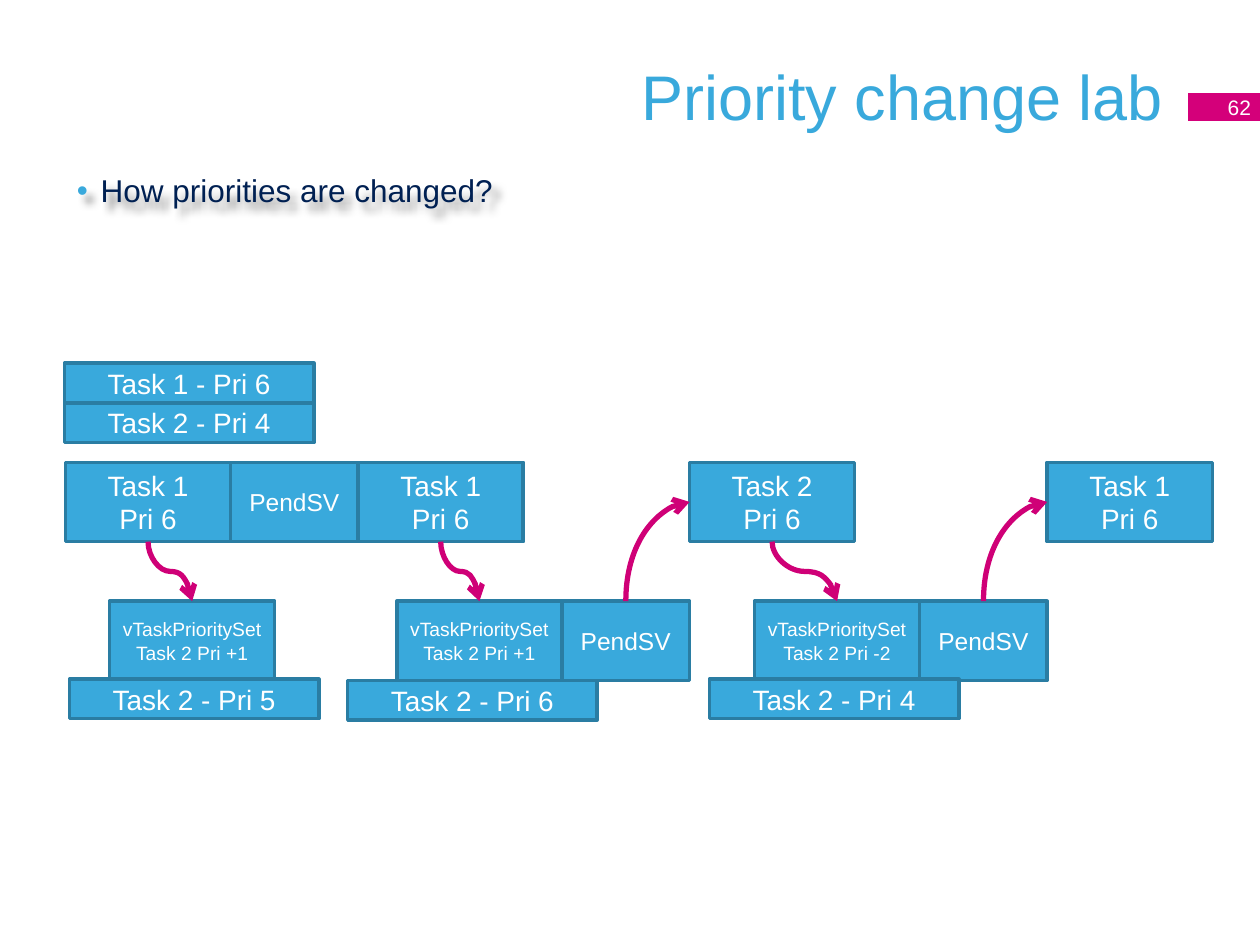
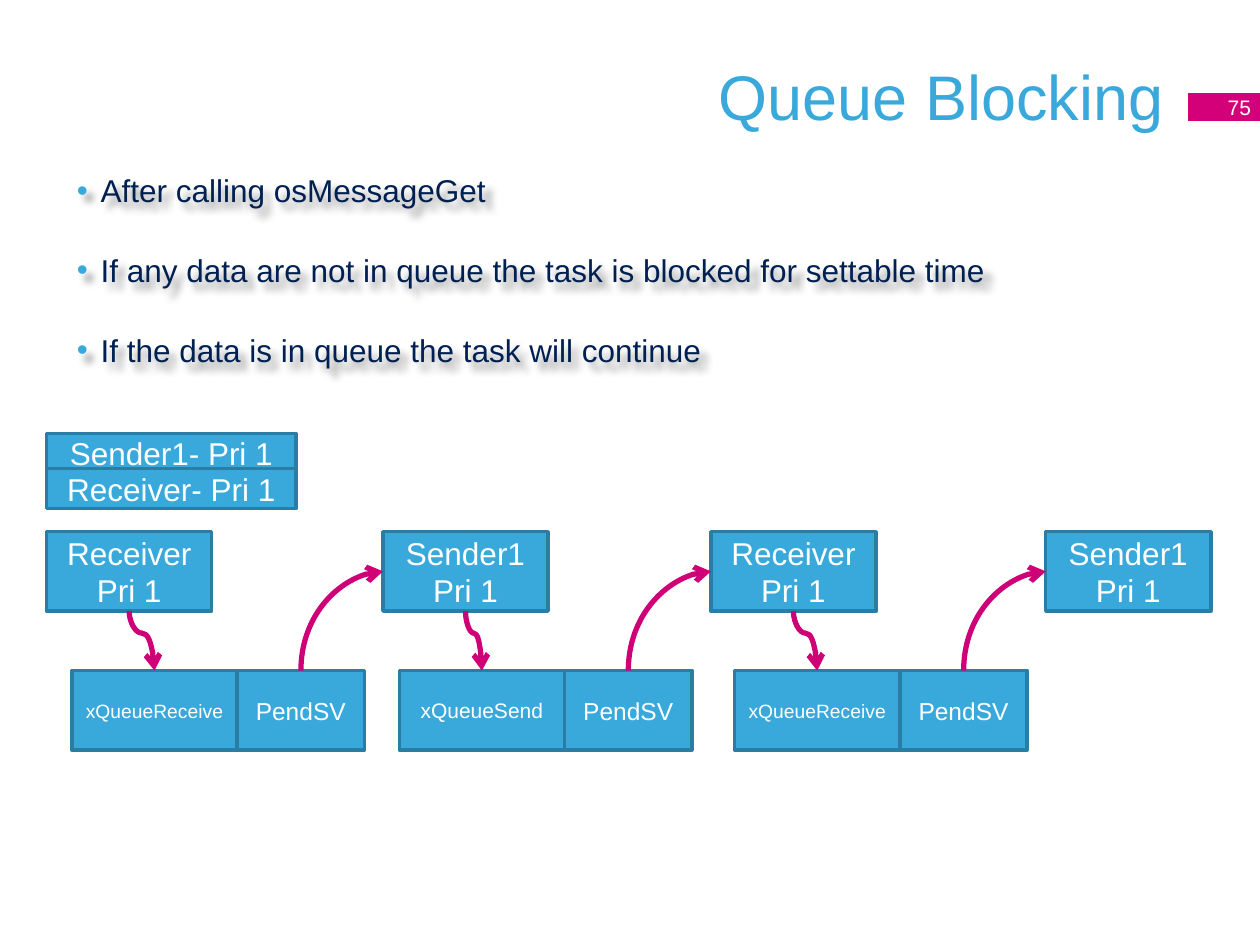
from dataclasses import dataclass

from lxml import etree
from pptx import Presentation
from pptx.dml.color import RGBColor
from pptx.enum.shapes import MSO_CONNECTOR, MSO_SHAPE
from pptx.enum.text import MSO_ANCHOR, PP_ALIGN
from pptx.oxml.ns import qn
from pptx.util import Cm, Pt

RECT = MSO_SHAPE.RECTANGLE
CURVE = MSO_CONNECTOR.CURVE
LEFT, CENTER, RIGHT = PP_ALIGN.LEFT, PP_ALIGN.CENTER, PP_ALIGN.RIGHT
TOP, MIDDLE = MSO_ANCHOR.TOP, MSO_ANCHOR.MIDDLE
SIDE_TOP, SIDE_LEFT, SIDE_BOTTOM = 0, 1, 2

FONT = "Arial"
BLUE, BLUE_EDGE, NAVY = "39A9DC", "2A7DA3", "002052"
PINK, ARROW_PINK, WHITE = "D4007A", "CF0077", "FFFFFF"

# Lengths in centimetres
TASK_W, PEND_W, BOX_H = 3.33, 2.57, 1.6
BAR_W, BAR_H = 5.03, 0.8
CALL_DROP = 2.8


@dataclass
class Bar:
    text: str
    left: float
    top: float


@dataclass
class Step:
    """A running task, the call it makes and whether PendSV then switches task."""
    task: str
    left: float
    call: str = ""
    call_left: float = 0
    call_size: int = 11
    switches: bool = True


@dataclass
class Timeline:
    title: str
    number: str
    bullets: list[str]
    top: float
    text_size: int
    bend: float
    steps: list[Step]
    bars: list[Bar]


PRIORITY_LAB = Timeline(
    "Priority change lab", "62", ["How priorities are changed?"], 9.32, 16, 0.5,
    [
        Step("Task 1\nPri 6", 1.32, "vTaskPrioritySet\nTask 2 Pri +1", 2.21, switches=False),
        Step("Task 1\nPri 6", 7.22, "vTaskPrioritySet\nTask 2 Pri +1", 8.0),
        Step("Task 2\nPri 6", 13.9, "vTaskPrioritySet\nTask 2 Pri -2", 15.21),
        Step("Task 1\nPri 6", 21.11),
    ],
    [
        Bar("Task 1 - Pri 6", 1.3, 7.32),
        Bar("Task 2 - Pri 4", 1.3, 8.12),
        Bar("Task 2 - Pri 5", 1.4, 13.69),
        Bar("Task 2 - Pri 6", 7.01, 13.72),
        Bar("Task 2 - Pri 4", 14.3, 13.69),
    ],
)
QUEUE_BLOCKING = Timeline(
    "Queue Blocking", "75",
    [
        "After calling osMessageGet",
        "If any data are not in queue the task is blocked for settable time",
        "If the data is in queue the task will continue",
    ],
    10.72, 18, 0.37,
    [
        Step("Receiver Pri 1", 0.94, "xQueueReceive", 1.45),
        Step("Sender1 Pri 1", 7.72, "xQueueSend", 8.05, 12),
        Step("Receiver Pri 1", 14.33, "xQueueReceive", 14.81),
        Step("Sender1 Pri 1", 21.08),
    ],
    [Bar("Sender1- Pri 1", 0.94, 8.74), Bar("Receiver- Pri 1", 0.94, 9.45)],
)


def rgb(color: str) -> RGBColor:
    return RGBColor.from_string(color)


def add_xml(parent, tag: str, **attrs: str):
    child = etree.SubElement(parent, qn(tag))
    for name, value in attrs.items():
        child.set(name, value)
    return child


def write(sp, text: str, size: int, color: str, align, anchor=MIDDLE) -> None:
    tf = sp.text_frame
    tf.word_wrap = True
    tf.vertical_anchor = anchor
    for i, line in enumerate(text.split("\n")):
        p = tf.paragraphs[0] if i == 0 else tf.add_paragraph()
        p.alignment = align
        r = p.add_run()
        r.text = line
        for name, value in {"name": FONT, "size": Pt(size)}.items():
            setattr(r.font, name, value)
        r.font.color.rgb = rgb(color)


def add_rect(s, left: float, top: float, width: float, height: float, fill: str):
    sp = s.shapes.add_shape(RECT, Cm(left), Cm(top), Cm(width), Cm(height))
    sp.shadow.inherit = False
    sp.fill.solid()
    sp.fill.fore_color.rgb = rgb(fill)
    sp.line.fill.background()
    return sp


def add_box(s, text: str, left: float, top: float, width: float, size: int,
            height: float = BOX_H):
    sp = add_rect(s, left, top, width, height, BLUE)
    sp.line.color.rgb = rgb(BLUE_EDGE)
    sp.line.width = Pt(2)
    sp.text_frame.margin_left = sp.text_frame.margin_right = Cm(0.2)
    write(sp, text, size, WHITE, CENTER)
    return sp


def add_arrow(s, start, start_side: int, end, end_side: int, bend: float | None = None) -> None:
    """Curve from start to end: an S with the given bend, or a quarter arc without one."""
    c = s.shapes.add_connector(CURVE, 0, 0, 0, 0)
    c.begin_connect(start, start_side)
    c.end_connect(end, end_side)
    x1, y1, x2, y2 = c.begin_x, c.begin_y, c.end_x, c.end_y
    # The preset curves run sideways, so the frame is turned about its centre.
    run, rise = abs(y2 - y1), abs(x2 - x1)
    frame = {"left": (x1 + x2 - run) // 2, "top": (y1 + y2 - rise) // 2,
             "width": run, "height": rise}
    for name, value in frame.items():
        setattr(c, name, value)

    props = c.element.spPr
    xfrm, geom = props.find(qn("a:xfrm")), props.find(qn("a:prstGeom"))
    xfrm.set("flipH", "1")
    if bend is None:
        xfrm.set("rot", "5400000")
        xfrm.set("flipV", "1")
        geom.set("prst", "curvedConnector2")
    else:
        xfrm.set("rot", "16200000")
        add_xml(geom.find(qn("a:avLst")), "a:gd", name="adj1", fmla=f"val {round(bend * 100000)}")
    c.line.color.rgb = rgb(ARROW_PINK)
    c.line.width = Pt(3)
    add_xml(props.find(qn("a:ln")), "a:tailEnd", type="arrow")
    add_xml(props, "a:effectLst")


def add_bullets(s, bullets: list[str]) -> None:
    sp = s.shapes.add_textbox(Cm(1.3), Cm(3.33), Cm(22.86), Cm(1.02 + 1.63 * (len(bullets) - 1)))
    write(sp, "\n".join(bullets), 18, NAVY, LEFT, TOP)
    for p in sp.text_frame.paragraphs:
        p.space_before, p.space_after = Pt(18), Pt(6)
        ppr = p._p.get_or_add_pPr()
        ppr.set("marL", str(Cm(0.48)))
        ppr.set("indent", str(-Cm(0.48)))
        add_xml(add_xml(ppr, "a:buClr"), "a:srgbClr", val=BLUE)
        add_xml(ppr, "a:buFont", typeface=FONT)
        add_xml(ppr, "a:buChar", char="•")
    effects = add_xml(sp.element.spPr, "a:effectLst")
    shadow = add_xml(effects, "a:outerShdw", blurRad=str(Cm(0.14)), dist=str(Cm(0.2)),
                     dir="2700000", algn="tl", rotWithShape="0")
    add_xml(add_xml(shadow, "a:srgbClr", val="000000"), "a:alpha", val="40000")


def add_heading(s, title: str, number: str) -> None:
    sp = s.shapes.add_textbox(Cm(1.27), Cm(0.33), Cm(22.43), Cm(3.18))
    write(sp, title, 36, BLUE, RIGHT)
    tag = add_rect(s, 23.95, 1.88, 1.52, 0.56, PINK)
    write(tag, number, 12, WHITE, RIGHT)


def add_steps(s, timeline: Timeline) -> None:
    call_top = timeline.top + CALL_DROP
    pend = None
    for step in timeline.steps:
        task = add_box(s, step.task, step.left, timeline.top, TASK_W, timeline.text_size)
        if pend:
            add_arrow(s, pend, SIDE_TOP, task, SIDE_LEFT)
            pend = None
        if not step.call:
            continue
        call = add_box(s, step.call, step.call_left, call_top, TASK_W, step.call_size)
        add_arrow(s, task, SIDE_BOTTOM, call, SIDE_TOP, timeline.bend)
        if step.switches:
            pend = add_box(s, "PendSV", step.call_left + TASK_W, call_top, PEND_W, 14)
        else:
            add_box(s, "PendSV", step.left + TASK_W, timeline.top, PEND_W, 14)


def add_timeline(prs, timeline: Timeline) -> None:
    s = prs.slides.add_slide(prs.slide_layouts[6])
    add_heading(s, timeline.title, timeline.number)
    add_bullets(s, timeline.bullets)
    add_steps(s, timeline)
    for bar in timeline.bars:
        add_box(s, bar.text, bar.left, bar.top, BAR_W, timeline.text_size, BAR_H)


def main() -> None:
    prs = Presentation()
    prs.slide_width, prs.slide_height = Cm(25.4), Cm(19.05)
    for timeline in (PRIORITY_LAB, QUEUE_BLOCKING):
        add_timeline(prs, timeline)
    prs.save("out.pptx")


if __name__ == "__main__":
    main()
